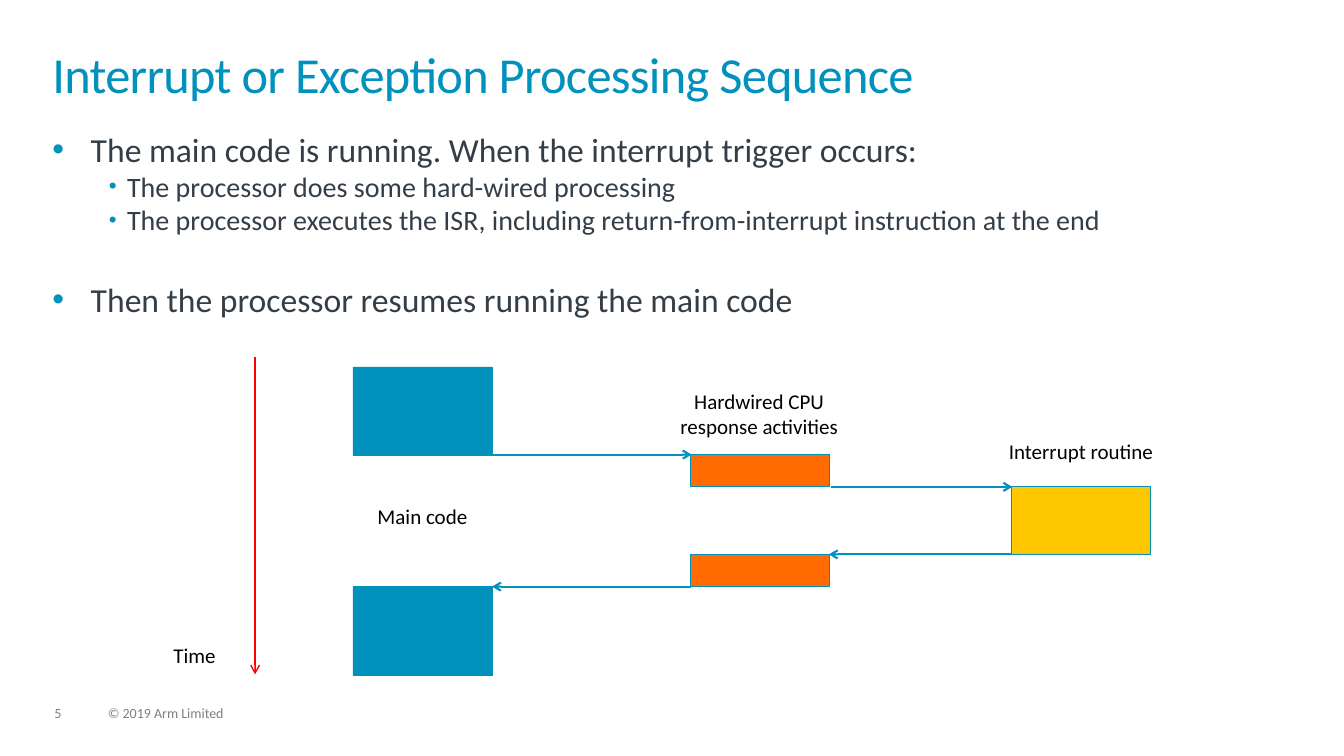
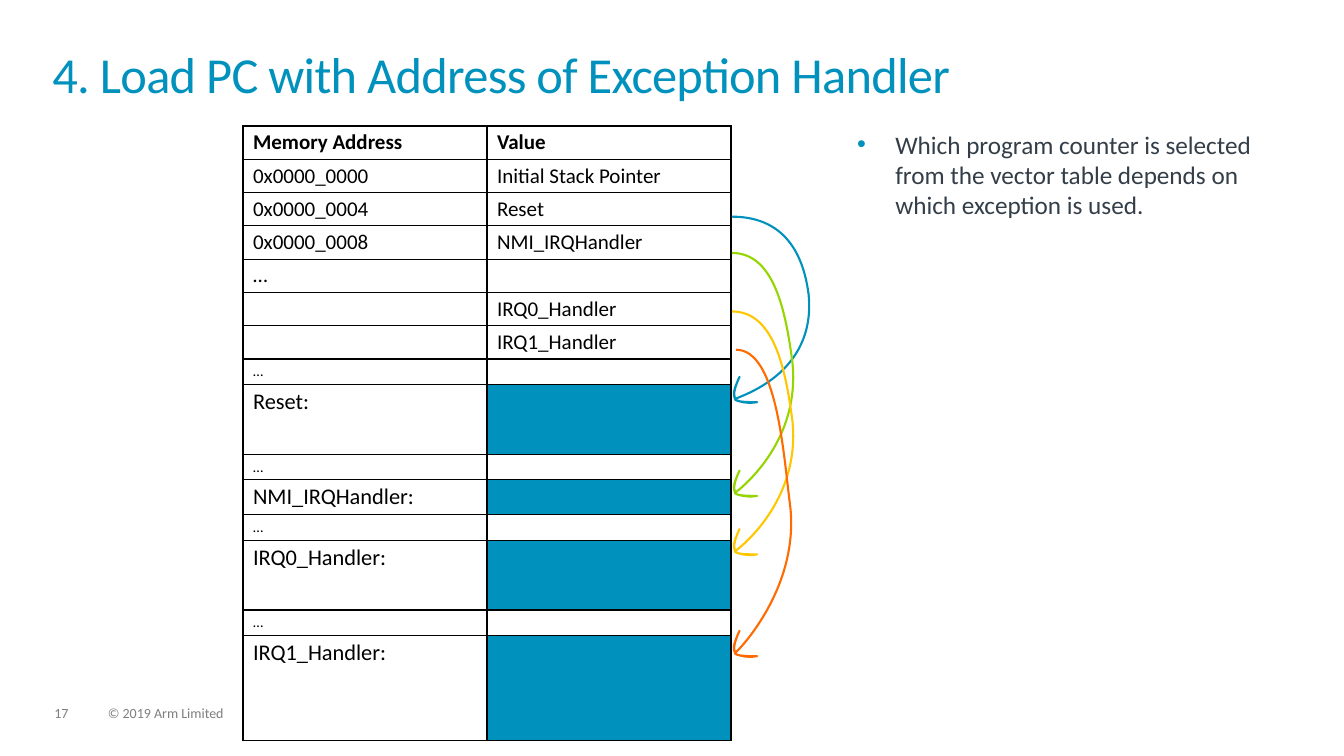
from dataclasses import dataclass

from lxml import etree
from pptx import Presentation
from pptx.dml.color import RGBColor
from pptx.enum.shapes import MSO_CONNECTOR, MSO_SHAPE
from pptx.enum.text import MSO_ANCHOR, MSO_AUTO_SIZE, PP_ALIGN
from pptx.oxml.ns import qn
from pptx.util import Inches, Pt

LEFT, CENTER = PP_ALIGN.LEFT, PP_ALIGN.CENTER
TOP, FIXED = MSO_ANCHOR.TOP, MSO_AUTO_SIZE.NONE
RECT, STRAIGHT = MSO_SHAPE.RECTANGLE, MSO_CONNECTOR.STRAIGHT


@dataclass(frozen=True)
class Theme:
    font: str = "Calibri"
    blue: str = "0091BD"
    orange: str = "FF6B00"
    yellow: str = "FFC700"
    green: str = "95D600"
    red: str = "FF0000"
    ink: str = "333E48"
    black: str = "000000"
    gray: str = "7F7F7F"
    title: float = 36
    body: float = 24
    sub: float = 20
    note: float = 18
    label: float = 15
    handler: float = 16
    gap: float = 10.5
    foot: float = 10


T = Theme()
SIZE = (13.33, 7.5)
TITLE_BOX = (0.52, 0.52, 12.28, 0.72)
BODY_BOX = (0.52, 1.28, 12.28, 5.41)
NOTE_BOX = (8.5, 1.28, 4.42, 1.01)
NUMBER_BOX = (0.54, 7.01, 0.34, 0.15)
COPY_BOX = (1.07, 7.01, 5.07, 0.15)
COPYRIGHT = "© 2019 Arm Limited"

# Level, text, size, space before
STEPS = [
    (0, "The main code is running. When the interrupt trigger occurs:", T.body, 0),
    (1, "The processor does some hard-wired processing", T.sub, 0),
    (1, "The processor executes the ISR, including return-from-interrupt "
        "instruction at the end", T.sub, 0),
    (0, "Then the processor resumes running the main code", T.body, 30),
]
NOTES = [(0, "Which program counter is selected from the vector table depends "
             "on which exception is used.", T.note, 0)]
INDENTS = [(0.38, -0.38, 100), (0.74, -0.18, 80)]

# Left, top, height, fill
BLOCK_W = 1.38
BLOCKS = [
    (3.5, 3.64, 0.88, T.blue),
    (3.5, 5.82, 0.88, T.blue),
    (6.85, 4.51, 0.32, T.orange),
    (6.85, 5.5, 0.32, T.orange),
    (10.03, 4.83, 0.67, T.yellow),
]
# From x, y to x, y, colour, width
ARROWS = [
    (4.89, 4.51, 6.86, 4.51, T.blue, 1.5),
    (8.24, 4.83, 10.04, 4.83, T.blue, 1.5),
    (10.03, 5.5, 8.22, 5.5, T.blue, 1.5),
    (6.85, 5.82, 4.88, 5.82, T.blue, 1.5),
    (2.53, 3.54, 2.53, 6.69, T.red, 1),
]
LABELS = [
    (["Main code"], (3.61, 5, 1.16, 0.33)),
    (["Hardwired CPU", "response activities"], (6.08, 3.85, 2.9, 0.5)),
    (["Interrupt routine"], (9.76, 4.35, 1.92, 0.33)),
    (["Time"], (1.66, 6.37, 0.54, 0.32)),
]

VECTORS = [
    ("Memory Address", "Value"),
    ("0x0000_0000", "Initial Stack Pointer"),
    ("0x0000_0004", "Reset"),
    ("0x0000_0008", "NMI_IRQHandler"),
    ("…", ""),
    ("", "IRQ0_Handler"),
    ("", "IRQ1_Handler"),
]
# Handler name, rows of code
HANDLERS = [("Reset:", 2), ("NMI_IRQHandler:", 1),
            ("IRQ0_Handler:", 2), ("IRQ1_Handler:", 3)]
TABLE_AT = (2.41, 1.25)
COL_W = 2.42
ROW_H = {T.label: 0.31, T.gap: 0.24, T.handler: 0.33}
PAD_X, PAD_Y = Inches(0.1), Inches(0.15) // 4

# Start, bend, tip height, colour
JUMPS = [
    ((7.26, 2.15), (8.02, 2.92), 3.96, T.blue),
    ((7.26, 2.51), (7.86, 3.6), 4.89, T.green),
    ((7.26, 3.09), (7.86, 4.18), 5.47, T.yellow),
    ((7.3, 3.47), (7.84, 5.04), 6.48, T.orange),
]
TIP_X = 7.29
# Bezier points of the arrowhead, as offsets from its tip
HEAD = [
    (-0.04, -0.07), (0.07, -0.27), (0.04, -0.21),
    (0.01, -0.14), (-0.03, -0.06), (0, -0.01),
    (-0.02, 0.03), (0.13, 0.03), (0.22, 0.03),
    (0.12, 0.05), (0.03, 0.02), (0.01, 0.01),
]


def rgb(code):
    return RGBColor.from_string(code)


def place(shape, box):
    shape.left, shape.top, shape.width, shape.height = map(Inches, box)


def write(para, text, size=T.label, color=T.black, bold=False, align=LEFT,
          line=1.0, before=0, after=0, track=0):
    para.alignment, para.line_spacing = align, line
    para.space_before, para.space_after = Pt(before), Pt(after)
    if not text:
        end = etree.SubElement(para._p, qn("a:endParaRPr"))
        end.set("sz", str(int(size * 100)))
        return
    run = para.add_run()
    run.text = text
    font = run.font
    font.name, font.size, font.bold = T.font, Pt(size), bold
    font.color.rgb = rgb(color)
    if track:
        run._r.get_or_add_rPr().set("spc", str(int(track * 100)))


def setup(frame):
    frame.margin_left = frame.margin_right = 0
    frame.margin_top = frame.margin_bottom = 0
    frame.word_wrap, frame.auto_size = True, FIXED
    frame.vertical_anchor = TOP


def add_para(frame, first):
    return frame.paragraphs[0] if first else frame.add_paragraph()


def add_text(slide, lines, box, **fmt):
    shape = slide.shapes.add_textbox(*map(Inches, box))
    setup(shape.text_frame)
    for i, text in enumerate(lines):
        write(add_para(shape.text_frame, i == 0), text, **fmt)
    return shape


def add_foot(slide, text, box):
    return add_text(slide, [text], box, size=T.foot, color=T.gray,
                    line=0.9, after=6)


def add_bullet(para, level):
    indent, hang, scale = INDENTS[level]
    para.level = level
    props = para._p.get_or_add_pPr()
    props.set("marL", str(Inches(indent)))
    props.set("indent", str(Inches(hang)))
    color = etree.SubElement(props, qn("a:buClr"))
    etree.SubElement(color, qn("a:srgbClr")).set("val", T.blue)
    etree.SubElement(props, qn("a:buSzPct")).set("val", str(scale * 1000))
    etree.SubElement(props, qn("a:buChar")).set("char", "•")


def add_page(deck, number, title, items):
    slide = deck.slides.add_slide(deck.slide_layouts[1])
    head, body = slide.placeholders
    for holder in (head, body):
        setup(holder.text_frame)
    write(head.text_frame.paragraphs[0], title, size=T.title, color=T.blue,
          line=0.85, track=-0.5)
    for i, (level, text, size, before) in enumerate(items):
        para = add_para(body.text_frame, i == 0)
        add_bullet(para, level)
        write(para, text, size=size, color=T.ink, before=before)
    add_foot(slide, str(number), NUMBER_BOX)
    return slide, body


def add_block(slide, left, top, height, fill):
    block = slide.shapes.add_shape(RECT, *map(Inches, (left, top, BLOCK_W, height)))
    block.shadow.inherit = False
    block.fill.solid()
    block.fill.fore_color.rgb = rgb(fill)
    block.line.color.rgb, block.line.width = rgb(T.blue), Pt(0.5)


def add_arrow(slide, x1, y1, x2, y2, color, width):
    arrow = slide.shapes.add_connector(STRAIGHT, *map(Inches, (x1, y1, x2, y2)))
    arrow.line.color.rgb, arrow.line.width = rgb(color), Pt(width)
    etree.SubElement(arrow.line._get_or_add_ln(), qn("a:tailEnd")).set("type", "arrow")
    etree.SubElement(arrow._element.spPr, qn("a:effectLst"))


def bend_lines(shape):
    """Turn each three line segments of a freeform into one Bezier curve."""
    lines = list(shape._element.iter(qn("a:lnTo")))
    for i in range(0, len(lines), 3):
        curve = etree.Element(qn("a:cubicBezTo"))
        lines[i].addprevious(curve)
        for line in lines[i:i + 3]:
            curve.append(line[0])
            line.getparent().remove(line)


def add_jump(slide, start, bend, tip, color):
    (x, y), (bx, by) = start, bend
    points = [
        start, (x + 0.41, y), (bx - 0.07, by - 0.54), bend,
        (bx + 0.08, by + 0.8), (TIP_X + 0.04, tip - 0.03), (TIP_X, tip),
    ]
    points += [(TIP_X + dx, tip + dy) for dx, dy in HEAD]
    first, *rest = [(Inches(px), Inches(py)) for px, py in points]
    pen = slide.shapes.build_freeform(*first)
    pen.add_line_segments(rest, close=False)
    jump = pen.convert_to_shape()
    bend_lines(jump)
    jump.shadow.inherit = False
    jump.fill.background()
    jump.line.color.rgb, jump.line.width = rgb(color), Pt(1.5)


def set_borders(cell, top, bottom):
    props = cell._tc.get_or_add_tcPr()
    sides = (("L", True), ("R", True), ("T", top), ("B", bottom))
    for i, (side, shown) in enumerate(sides):
        edge = etree.Element(qn("a:ln" + side), w=str(Pt(1)))
        if shown:
            fill = etree.SubElement(edge, qn("a:solidFill"))
            etree.SubElement(fill, qn("a:srgbClr")).set("val", T.black)
        else:
            etree.SubElement(edge, qn("a:noFill"))
        props.insert(i, edge)


def list_rows():
    """Return (texts, size, code, top edge, bottom edge) for each table row."""
    rows = [(texts, T.label, False, True, True) for texts in VECTORS]
    for name, span in HANDLERS:
        rows.append((("…", ""), T.gap, False, True, True))
        for i in range(span):
            texts = ("" if i else name, "")
            rows.append((texts, T.handler, True, i == 0, i == span - 1))
    return rows


def add_vectors(slide):
    rows = list_rows()
    heights = [ROW_H[row[1]] for row in rows]
    box = (*TABLE_AT, 2 * COL_W, sum(heights))
    table = slide.shapes.add_table(len(rows), 2, *map(Inches, box)).table
    table.first_row = table.horz_banding = False
    for col in table.columns:
        col.width = Inches(COL_W)
    for r, (texts, size, code, top, bottom) in enumerate(rows):
        table.rows[r].height = Inches(heights[r])
        for c, text in enumerate(texts):
            cell = table.cell(r, c)
            cell.margin_left = cell.margin_right = PAD_X
            cell.margin_top = cell.margin_bottom = PAD_Y
            if code and c == 1:
                cell.fill.solid()
                cell.fill.fore_color.rgb = rgb(T.blue)
            else:
                cell.fill.background()
            set_borders(cell, top, bottom)
            write(cell.text_frame.paragraphs[0], text, size=size, bold=r == 0)


def main():
    deck = Presentation()
    deck.slide_width, deck.slide_height = map(Inches, SIZE)
    layout = deck.slide_layouts[1]
    for holder, box in zip(layout.placeholders, (TITLE_BOX, BODY_BOX)):
        place(holder, box)

    slide, _ = add_page(deck, 5, "Interrupt or Exception Processing Sequence", STEPS)
    notice = add_foot(slide, COPYRIGHT, COPY_BOX)
    layout.shapes._spTree.append(notice._element)
    for block in BLOCKS:
        add_block(slide, *block)
    for arrow in ARROWS:
        add_arrow(slide, *arrow)
    for lines, box in LABELS:
        add_text(slide, lines, box, align=CENTER)

    slide, body = add_page(deck, 17, "4. Load PC with Address of Exception Handler", NOTES)
    place(body, NOTE_BOX)
    add_vectors(slide)
    for jump in JUMPS:
        add_jump(slide, *jump)
    deck.save("out.pptx")


if __name__ == "__main__":
    main()
